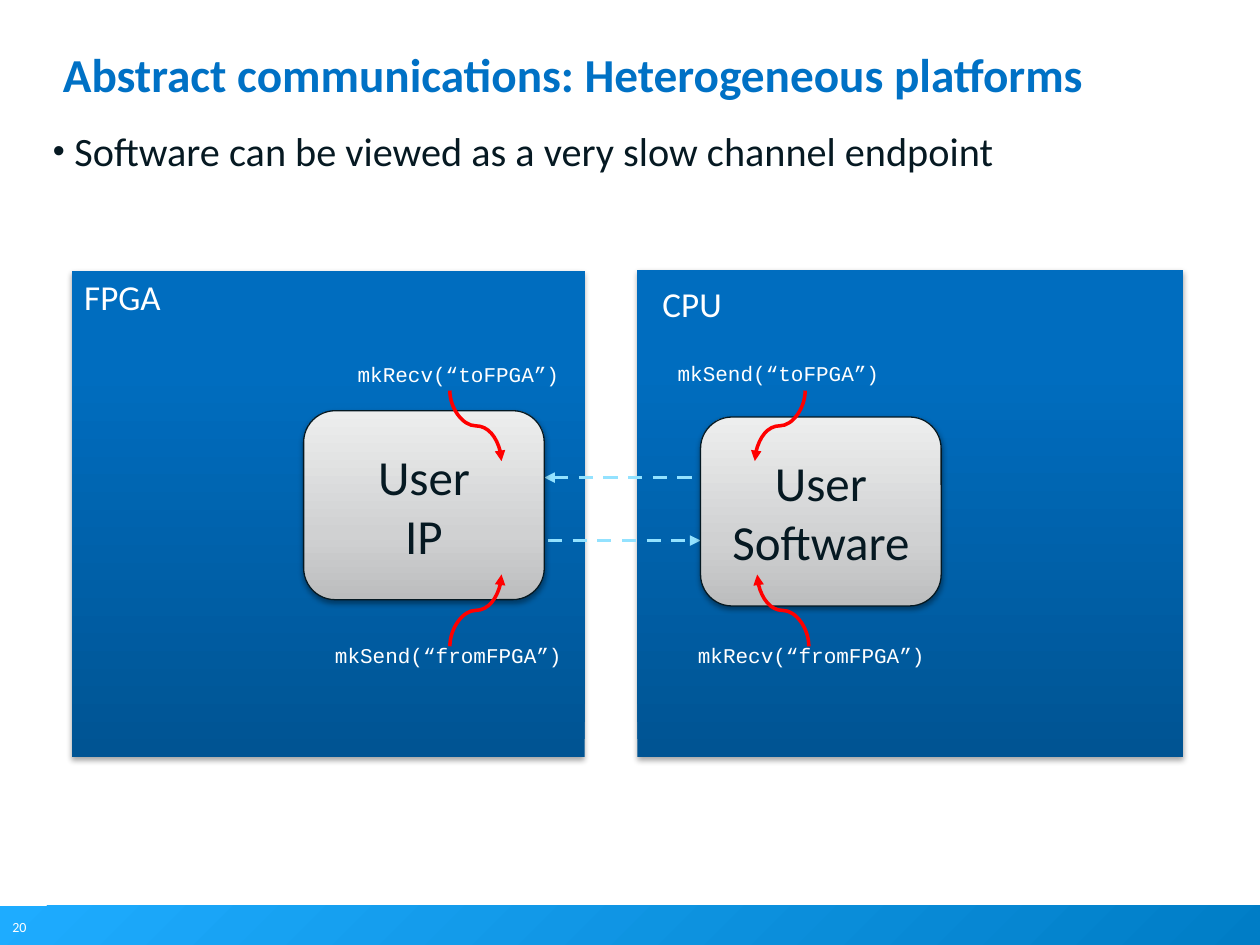
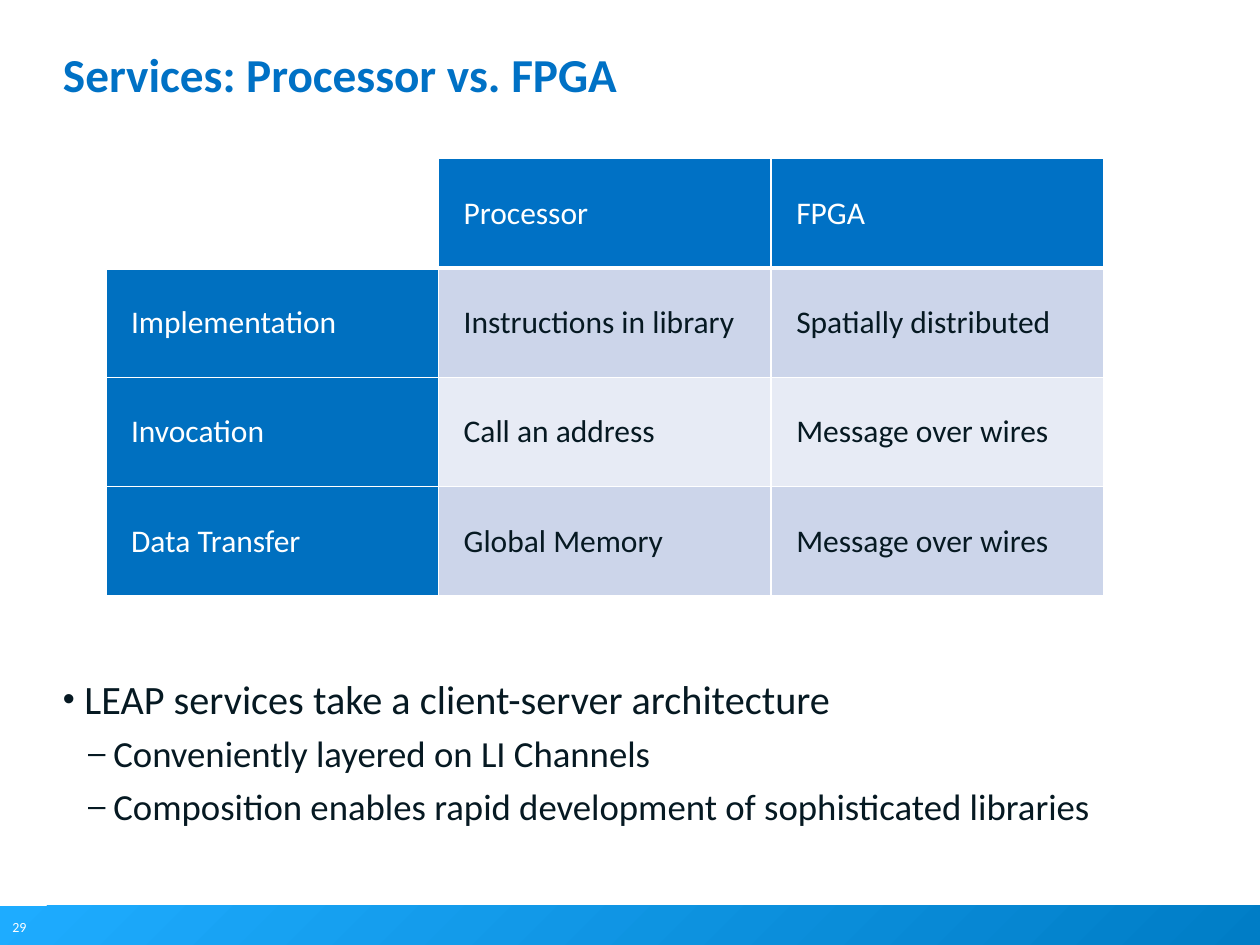
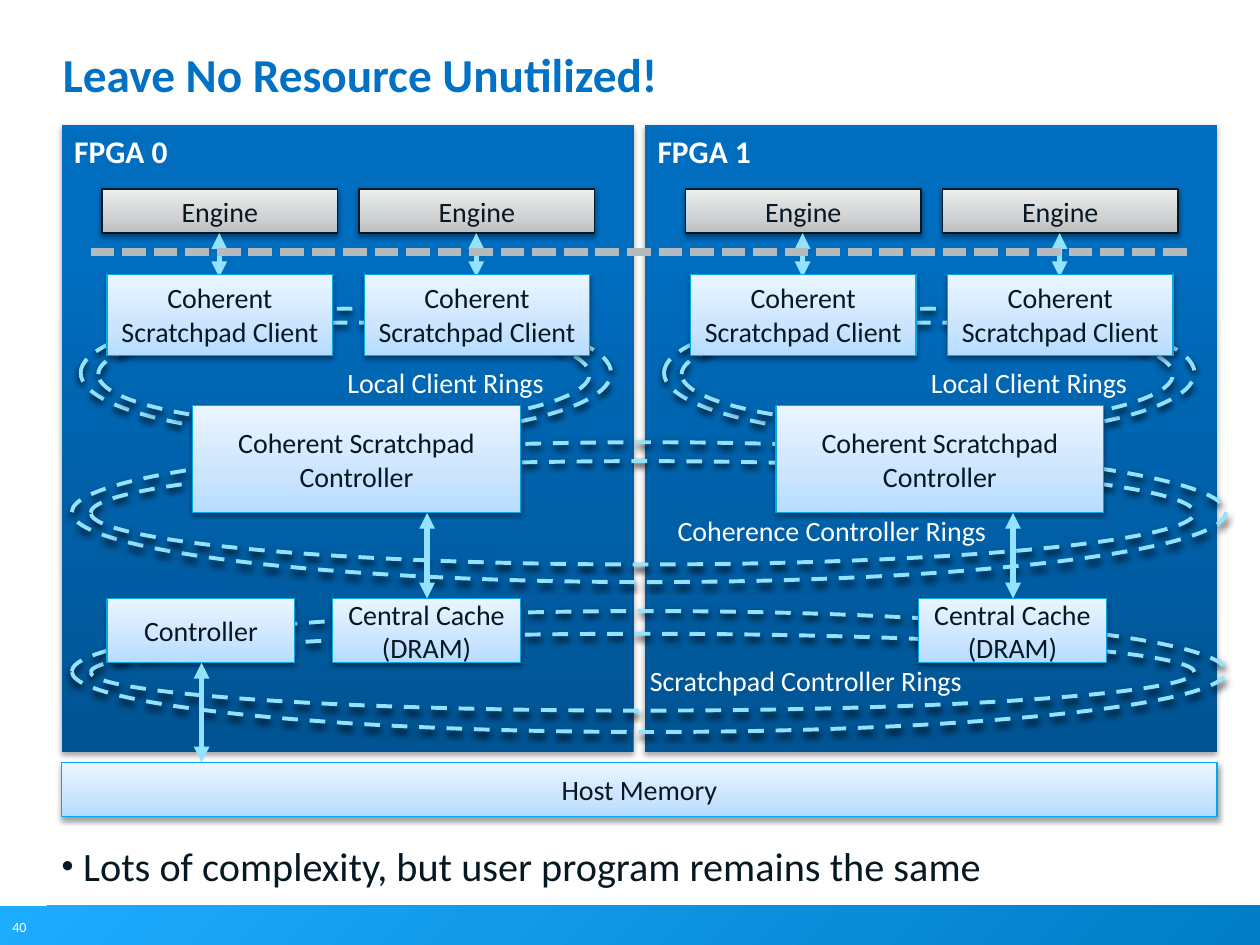
from typing import NamedTuple

from lxml.etree import SubElement
from pptx import Presentation
from pptx.dml.color import RGBColor
from pptx.enum.dml import MSO_LINE
from pptx.enum.shapes import MSO_CONNECTOR, MSO_SHAPE
from pptx.enum.text import MSO_ANCHOR, PP_ALIGN
from pptx.oxml.ns import qn
from pptx.util import Emu, Inches, Pt

COLORS = {
    "title": "0071C5", "ink": "061922", "white": "FFFFFF", "ring": "93E2FF",
    "red": "FF0000", "divider": "B4BABD", "black": "000000",
    "row_head": "0070C0", "band_dark": "CCD5EA", "band_light": "E7EBF5",
}


class Style(NamedTuple):
    stops: tuple[tuple[int, str], ...]
    line: str | None = None
    shadow_alpha: int = 0
    angle: int = 90


class Panel(NamedTuple):
    left: float
    top: float
    width: float
    height: float


class Label(NamedTuple):
    text: str
    left: float
    top: float
    width: float
    height: float
    size: float = 16
    font: str = "Calibri"
    bold: bool = False


class Bullet(NamedTuple):
    text: str
    level: int = 0


class BulletStyle(NamedTuple):
    symbol: str
    margin: float
    size: float
    before: float


FOOTER = Style(((0, "1EACFF"), (100, "007DC6")), angle=315)
CHIP = Style(((0, "005493"), (80, "006DBF"), (100, "006EC0")), shadow_alpha=35)
GREY = Style(((0, "BCBDBE"), (35, "D0D1D2"), (100, "EDEEEE")), "051922", 38)
PALE = Style(((0, "B5DCFF"), (35, "CBE5FF"), (100, "EBF5FF")), "00AAEA", 38)
BULLET_STYLES = (BulletStyle("•", 0.17, 23, 11), BulletStyle("–", 0.4, 21, 5))


def rgb(name: str) -> RGBColor:
    return RGBColor.from_string(COLORS.get(name, name))


def add_color(parent, value: str):
    return SubElement(parent, qn("a:srgbClr"), val=COLORS.get(value, value))


def set_font(para, size: float, color: str, font: str = "Calibri", bold: bool = False) -> None:
    para.font.name, para.font.size, para.font.bold = font, Pt(size), bold
    para.font.color.rgb = rgb(color)


def add_shadow(shape, alpha: int, blur: float = 3.1, distance: float = 1.7) -> None:
    effects = shape._element.spPr.find(qn("a:effectLst"))
    shadow = SubElement(effects, qn("a:outerShdw"), blurRad=str(Pt(blur)),
                        dist=str(Pt(distance)), dir="5400000", rotWithShape="0")
    SubElement(add_color(shadow, "black"), qn("a:alpha"), val=str(alpha * 1000))


def add_block(page, kind, left: float, top: float, width: float, height: float, style: Style,
              lines: tuple[str, ...] = (), size: float = 16, anchor=MSO_ANCHOR.MIDDLE):
    """Draw a gradient shape with optional centred text."""
    block = page.shapes.add_shape(kind, Inches(left), Inches(top), Inches(width), Inches(height))
    block.shadow.inherit = False
    block.fill.gradient()
    block.fill.gradient_angle = style.angle
    stops = block._element.spPr.find(qn("a:gradFill")).find(qn("a:gsLst"))
    stops.clear()
    for position, color in style.stops:
        add_color(SubElement(stops, qn("a:gs"), pos=str(position * 1000)), color)
    if style.line:
        block.line.color.rgb = rgb(style.line)
        block.line.width = Pt(0.75)
    else:
        block.line.fill.background()
    if style.shadow_alpha:
        add_shadow(block, style.shadow_alpha)
    frame = block.text_frame
    frame.word_wrap, frame.vertical_anchor = True, anchor
    for index, line in enumerate(lines):
        para = frame.add_paragraph() if index else frame.paragraphs[0]
        para.text, para.alignment = line, PP_ALIGN.CENTER
        set_font(para, size, "ink")
    return block


def add_label(page, label: Label, color: str = "white"):
    box = page.shapes.add_textbox(Inches(label.left), Inches(label.top),
                                  Inches(label.width), Inches(label.height))
    box.text_frame.word_wrap = True
    para = box.text_frame.paragraphs[0]
    para.text = label.text
    set_font(para, label.size, color, label.font, label.bold)
    return box


def clear_margins(frame) -> None:
    frame.margin_left = frame.margin_right = frame.margin_top = frame.margin_bottom = 0


def add_bullets(page, left: float, top: float, width: float, height: float,
                bullets: tuple[Bullet, ...]) -> None:
    box = page.shapes.add_textbox(Inches(left), Inches(top), Inches(width), Inches(height))
    frame = box.text_frame
    frame.word_wrap = True
    clear_margins(frame)
    for index, bullet in enumerate(bullets):
        style = BULLET_STYLES[bullet.level]
        para = frame.add_paragraph() if index else frame.paragraphs[0]
        para.text, para.level, para.space_before = bullet.text, bullet.level, Pt(style.before)
        properties = para._p.get_or_add_pPr()
        properties.set("marL", str(Inches(style.margin)))
        properties.set("indent", str(Inches(-0.2)))
        add_color(SubElement(properties, qn("a:buClr")), "ink")
        SubElement(properties, qn("a:buSzPct"), val="85000")
        SubElement(properties, qn("a:buFont"), typeface="Arial")
        SubElement(properties, qn("a:buChar"), char=style.symbol)
        set_font(para, style.size, "ink")


def add_line(page, start: tuple[float, float], end: tuple[float, float], color: str, width: float,
             dash=None, head: bool = False, tail: bool = False, kind=MSO_CONNECTOR.STRAIGHT):
    line = page.shapes.add_connector(kind, *map(Inches, start + end))
    line.line.color.rgb = rgb(color)
    line.line.width = Pt(width)
    if dash:
        line.line.dash_style = dash
    properties = line._element.spPr
    outline = properties.find(qn("a:ln"))
    for tag, wanted in (("a:headEnd", head), ("a:tailEnd", tail)):
        if wanted:
            SubElement(outline, qn(tag), type="triangle")
    SubElement(properties, qn("a:effectLst"))
    return line


def add_double_arrow(page, x: float, top: float, bottom: float) -> None:
    add_line(page, (x, top), (x, bottom), "ring", 3, head=True, tail=True)


def add_upright_curve(page, start: tuple[float, float], end: tuple[float, float]) -> None:
    """Draw an S-curve that leaves and arrives vertically: a horizontal one turned by 90 degrees."""
    middle_x, middle_y = (start[0] + end[0]) / 2, (start[1] + end[1]) / 2
    half_x, half_y = (end[0] - start[0]) / 2, (end[1] - start[1]) / 2
    curve = add_line(page, (middle_x - half_y, middle_y + half_x),
                     (middle_x + half_y, middle_y - half_x), "red", 2, tail=True,
                     kind=MSO_CONNECTOR.CURVE)
    curve._element.spPr.find(qn("a:xfrm")).set("rot", "5400000")


def add_ring(page, left: float, top: float, width: float, height: float) -> None:
    ring = page.shapes.add_shape(MSO_SHAPE.OVAL, Inches(left), Inches(top),
                                 Inches(width), Inches(height))
    ring.shadow.inherit = False
    ring.fill.background()
    ring.line.color.rgb = rgb("ring")
    ring.line.width = Pt(2.25)
    ring.line.dash_style = MSO_LINE.DASH
    add_shadow(ring, 90, 4, 2)


def add_page(deck, title: str, number: int):
    page = deck.slides.add_slide(deck.slide_layouts[6])
    add_block(page, MSO_SHAPE.RECTANGLE, 0, 7.19, 10.01, 0.32, FOOTER)
    number_box = add_label(page, Label(str(number), 0, 7.24, 0.31, 0.24, 8))
    number_box.text_frame.word_wrap = False
    title_box = add_label(page, Label(title, 0.5, 0.45, 9, 0.97, 27, bold=True), "title")
    clear_margins(title_box.text_frame)
    title_box.text_frame.paragraphs[0].line_spacing = Pt(26)
    return page


def build_platforms(deck) -> None:
    page = add_page(deck, "Abstract communications: Heterogeneous platforms", 20)
    add_bullets(page, 0.42, 1, 8.78, 1.81,
                (Bullet("Software can be viewed as a very slow channel endpoint"),))
    for panel in (Panel(5.06, 2.14, 4.33, 3.87), Panel(0.57, 2.15, 4.07, 3.86)):
        add_block(page, MSO_SHAPE.RECTANGLE, *panel, CHIP)
    add_line(page, (4.35, 4.29), (5.56, 4.29), "ring", 2, MSO_LINE.DASH, tail=True)
    add_line(page, (4.32, 3.79), (5.72, 3.79), "ring", 2, MSO_LINE.DASH, head=True)
    for left, top, second_word in ((2.41, 3.26, "IP"), (5.56, 3.31, "Software")):
        add_block(page, MSO_SHAPE.ROUNDED_RECTANGLE, left, top, 1.91, 1.5, GREY,
                  ("User", second_word), 28)
    for label in (
        Label("FPGA", 0.57, 2.14, 2.06, 0.44, 20),
        Label("CPU", 5.16, 2.19, 2.06, 0.44, 20),
        Label("mkSend(“toFPGA”)", 5.28, 2.81, 1.94, 0.3, 12, "Courier New"),
        Label("mkRecv(“toFPGA”)", 2.74, 2.82, 1.94, 0.3, 12, "Courier New"),
        Label("mkRecv(“fromFPGA”)", 5.44, 5.05, 2.45, 0.3, 12, "Courier New"),
        Label("mkSend(“fromFPGA”)", 2.56, 5.05, 2.45, 0.3, 12, "Courier New"),
    ):
        add_label(page, label)
    for start, end in (((6.39, 3.1), (5.99, 3.66)), ((3.57, 3.1), (3.98, 3.66)),
                       ((3.57, 5.13), (3.98, 4.56)), ((6.42, 5.13), (6.01, 4.56))):
        add_upright_curve(page, start, end)


def add_cell_borders(cell, bottom: float) -> None:
    properties = cell._tc.get_or_add_tcPr()
    widths = (("a:lnL", 1), ("a:lnR", 1), ("a:lnT", 1), ("a:lnB", bottom))
    for index, (tag, width) in enumerate(widths):
        border = SubElement(properties, qn(tag), w=str(Pt(width)))
        add_color(SubElement(border, qn("a:solidFill")), "white")
        properties.insert(index, border)


def build_services(deck) -> None:
    page = add_page(deck, "Services: Processor vs. FPGA", 29)
    rows = (
        ("", "Processor", "FPGA"),
        ("Implementation", "Instructions in library", "Spatially distributed"),
        ("Invocation", "Call an address", "Message over wires"),
        ("Data Transfer", "Global Memory", "Message over wires"),
    )
    table = page.shapes.add_table(len(rows), 3, Inches(0.84), Inches(1.26),
                                  Inches(7.92), Inches(3.47)).table
    table.first_row = table.horz_banding = False
    for row_index, row in enumerate(rows):
        for column_index, text in enumerate(row):
            cell = table.cell(row_index, column_index)
            is_head = row_index == 0 or column_index == 0
            if not text:
                cell.fill.background()
            else:
                band = "band_dark" if row_index % 2 else "band_light"
                head = "row_head" if row_index else "title"
                cell.fill.solid()
                cell.fill.fore_color.rgb = rgb(head if is_head else band)
                cell.text = text
                set_font(cell.text_frame.paragraphs[0], 18, "white" if is_head else "ink")
            cell.vertical_anchor = MSO_ANCHOR.MIDDLE
            cell.margin_left = Inches(0.2)
            add_cell_borders(cell, 1 if row_index else 3)
    add_bullets(page, 0.5, 5.35, 9, 5.31, (
        Bullet("LEAP services take a client-server architecture"),
        Bullet("Conveniently layered on LI Channels", 1),
        Bullet("Composition enables rapid development of sophisticated libraries", 1),
    ))


def add_fpga(page, index: int, left: float) -> None:
    """Draw one chip with two engines, their clients and the local rings."""
    box = MSO_SHAPE.RECTANGLE
    add_block(page, box, left, 0.99, 4.54, 4.98, CHIP)
    add_label(page, Label(f"FPGA {index}", left, 1, 1.08, 0.4, 18, bold=True))
    add_ring(page, left + 0.15, 2.45, 4.21, 1.02)
    add_ring(page, left + 0.29, 2.56, 3.9, 0.82)
    for center in (left + 1.25, left + 3.29):
        add_block(page, box, center - 0.93, 1.5, 1.87, 0.35, GREY, ("Engine",))
        add_double_arrow(page, center, 1.85, 2.2)
        add_block(page, box, center - 0.89, 2.18, 1.79, 0.64, PALE,
                  ("Coherent Scratchpad Client",), anchor=MSO_ANCHOR.TOP)


def build_resources(deck) -> None:
    page = add_page(deck, "Leave No Resource Unutilized!", 40)
    box = MSO_SHAPE.RECTANGLE
    chip_lefts = (0.49, 5.12)
    for index, left in enumerate(chip_lefts):
        add_fpga(page, index, left)
    add_block(page, box, 0.49, 6.05, 9.17, 0.43, PALE, ("Host Memory",))
    add_ring(page, 0.57, 3.51, 9.16, 1.11)
    add_ring(page, 0.72, 3.66, 8.76, 0.82)
    for left in chip_lefts:
        add_block(page, box, left + 1.04, 3.22, 2.6, 0.85, PALE,
                  ("Coherent Scratchpad Controller",))
        add_label(page, Label("Local Client Rings", left + 2.17, 2.85, 3.2, 0.37))
    add_ring(page, 0.72, 5.03, 8.76, 0.61)
    add_label(page, Label("Coherence Controller Rings", 5.28, 4.03, 3.2, 0.37))
    add_line(page, (0.72, 2), (9.45, 2), "divider", 4.5, MSO_LINE.SQUARE_DOT)
    add_label(page, Label("Scratchpad Controller Rings", 5.06, 5.22, 3.2, 0.37))
    add_ring(page, 0.57, 4.85, 9.16, 0.96)
    for center in (3.39, 8.04):
        add_double_arrow(page, center, 4.07, 4.75)
        add_block(page, box, center - 0.75, 4.75, 1.49, 0.51, PALE, ("Central Cache", "(DRAM)"))
    add_block(page, box, 0.85, 4.75, 1.49, 0.51, PALE, ("Controller",))
    add_double_arrow(page, 1.6, 5.26, 6.05)
    add_bullets(page, 0.49, 6.68, 9, 1.96,
                (Bullet("Lots of complexity, but user program remains the same"),))


def main() -> None:
    deck = Presentation()
    deck.slide_width, deck.slide_height = Inches(10), Inches(7.5)
    build_platforms(deck)
    build_services(deck)
    build_resources(deck)
    deck.save("out.pptx")


if __name__ == "__main__":
    main()
